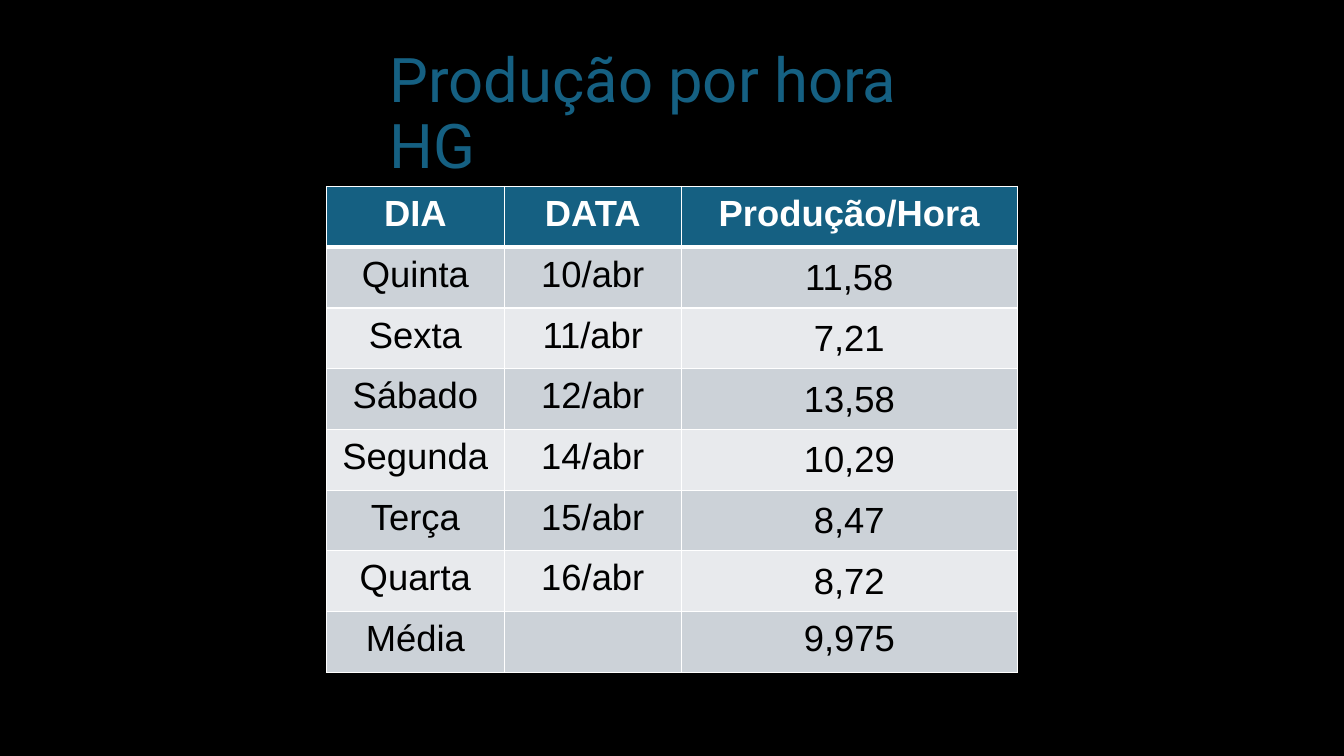
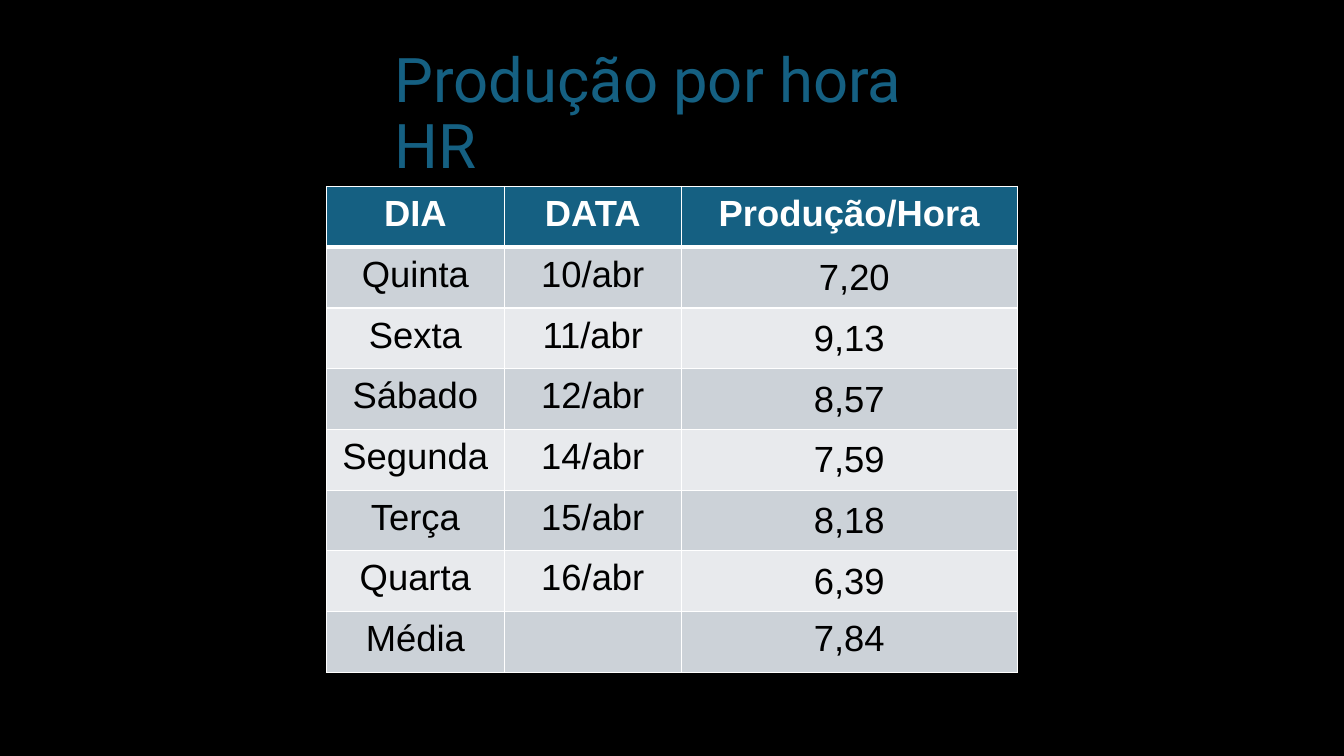
"""Builds two slides, each with a table of hourly production by day."""
from lxml import etree
from pptx import Presentation
from pptx import util as u
from pptx.dml.color import RGBColor
from pptx.enum import text
from pptx.oxml.ns import qn

HEADINGS = ("DIA", "DATA", "Produção/Hora")
DAYS = (
    ("Quinta", "10/abr"),
    ("Sexta", "11/abr"),
    ("Sábado", "12/abr"),
    ("Segunda", "14/abr"),
    ("Terça", "15/abr"),
    ("Quarta", "16/abr"),
    ("Média", ""),
)
SLIDES = (
    {"title": "Produção por hora HG", "title_width": 14.73,
     "values": ("11,58", "7,21", "13,58", "10,29", "8,47", "8,72", "9,975")},
    {"title": "Produção por hora HR", "title_width": 14.48,
     "values": (" 7,20", "9,13", "8,57", "7,59", "8,18", "6,39", "7,84")},
)

BLACK, WHITE, BLUE = "000000", "FFFFFF", "156082"
BANDS = ("CCD2D8", "E8EAED")
SLIDE_WIDTH, SLIDE_HEIGHT = 33.87, 19.05
TITLE_TOP, TITLE_HEIGHT = 1.07, 3.68
TABLE_TOP, ROW_HEIGHT = 4.7, 1.53
COLUMN_WIDTHS = (4.47, 4.47, 8.46)
THIN, THICK = 1, 3

TITLE_FONT = {"name": "Roboto", "size": u.Pt(44), "bold": False}
CELL_FONT = {"name": "Arial", "size": u.Pt(26)}
TEXT_CELL = {"margin_left": u.Cm(0.36), "margin_right": u.Cm(0.36),
             "margin_top": u.Cm(0.18), "margin_bottom": u.Cm(0.18),
             "vertical_anchor": text.MSO_ANCHOR.TOP}
VALUE_CELL = {"margin_left": u.Cm(0.03), "margin_right": u.Cm(0.03),
              "margin_top": u.Cm(0.03), "margin_bottom": 0,
              "vertical_anchor": text.MSO_ANCHOR.MIDDLE}


def apply(target, values):
    for name, value in values.items():
        setattr(target, name, value)


def paint(fill, colour):
    fill.solid()
    fill.fore_color.rgb = RGBColor.from_string(colour)


def write(para, words, colour, font):
    span = para.add_run()
    span.text = words
    apply(span.font, font)
    span.font.color.rgb = RGBColor.from_string(colour)


def centred(width):
    return u.Cm((SLIDE_WIDTH - width) / 2)


def add_borders(cell, top, bottom):
    properties = cell._tc.get_or_add_tcPr()
    for side, points in (("L", THIN), ("R", THIN), ("T", top), ("B", bottom)):
        line = etree.SubElement(properties, qn(f"a:ln{side}"), w=str(u.Pt(points)))
        solid = etree.SubElement(line, qn("a:solidFill"))
        etree.SubElement(solid, qn("a:srgbClr"), val=WHITE)


def add_title(page, words, width):
    box = page.shapes.add_textbox(centred(width), u.Cm(TITLE_TOP), u.Cm(width), u.Cm(TITLE_HEIGHT))
    apply(box.text_frame, {"word_wrap": True, "vertical_anchor": text.MSO_ANCHOR.MIDDLE})
    para = box.text_frame.paragraphs[0]
    para.line_spacing = 0.9
    write(para, words, BLUE, TITLE_FONT)


def fill_cell(cell, words, row, is_value):
    header = row == 0
    apply(cell, VALUE_CELL if is_value else TEXT_CELL)
    add_borders(cell, THICK if row == 1 else THIN, THICK if header else THIN)
    paint(cell.fill, BLUE if header else BANDS[(row - 1) % 2])
    para = cell.text_frame.paragraphs[0]
    para.alignment = text.PP_ALIGN.CENTER
    if words:
        write(para, words, WHITE if header else BLACK, {**CELL_FONT, "bold": header})


def add_production_table(page, values):
    rows = [HEADINGS] + [(*day, value) for day, value in zip(DAYS, values)]
    width = sum(COLUMN_WIDTHS)
    table = page.shapes.add_table(
        len(rows), len(HEADINGS), centred(width), u.Cm(TABLE_TOP),
        u.Cm(width), u.Cm(ROW_HEIGHT * len(rows))).table
    table.horz_banding = False
    for column, column_width in zip(table.columns, COLUMN_WIDTHS):
        column.width = u.Cm(column_width)
    for row, record in enumerate(rows):
        table.rows[row].height = u.Cm(ROW_HEIGHT)
        for column, words in enumerate(record):
            is_value = column == len(HEADINGS) - 1 and 0 < row < len(rows) - 1
            fill_cell(table.cell(row, column), words, row, is_value)


def main():
    deck = Presentation()
    deck.slide_width, deck.slide_height = u.Cm(SLIDE_WIDTH), u.Cm(SLIDE_HEIGHT)
    for content in SLIDES:
        page = deck.slides.add_slide(deck.slide_layouts[6])
        paint(page.background.fill, BLACK)
        add_title(page, content["title"], content["title_width"])
        add_production_table(page, content["values"])
    deck.save("out.pptx")


if __name__ == "__main__":
    main()
